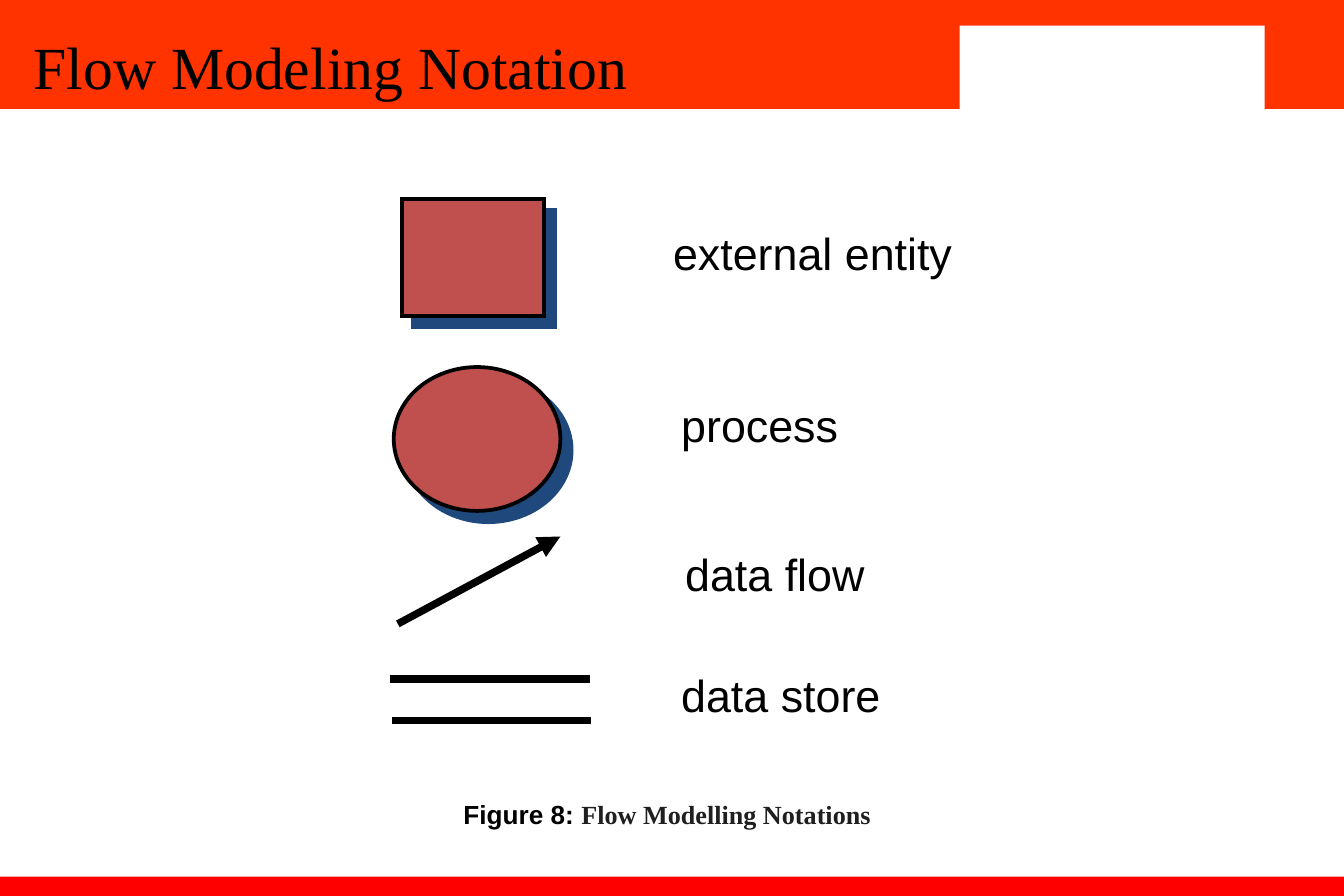
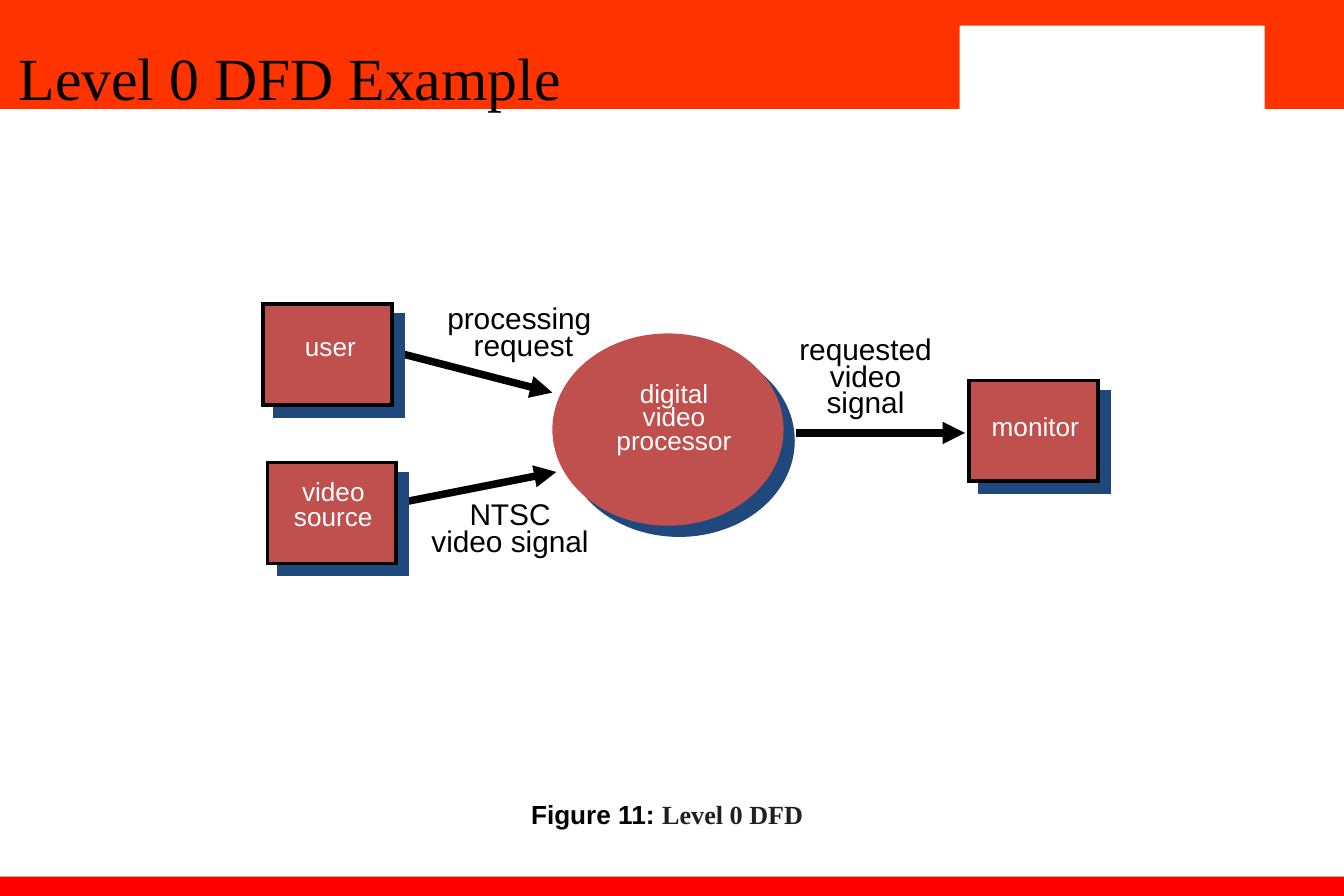
"""Builds two slides on data flow diagrams: the notation and a level 0 example."""
from lxml import etree
from pptx import Presentation
from pptx.dml.color import RGBColor
from pptx.enum.shapes import MSO_CONNECTOR, MSO_SHAPE
from pptx.enum.text import MSO_ANCHOR, MSO_AUTO_SIZE, PP_ALIGN
from pptx.oxml import parse_xml
from pptx.oxml.ns import nsdecls, qn
from pptx.util import Inches, Pt

RECT, OVAL = MSO_SHAPE.RECTANGLE, MSO_SHAPE.OVAL
STRAIGHT = MSO_CONNECTOR.STRAIGHT
LEFT, CENTER = PP_ALIGN.LEFT, PP_ALIGN.CENTER
MIDDLE, TOP = MSO_ANCHOR.MIDDLE, MSO_ANCHOR.TOP
GROW, FIXED = MSO_AUTO_SIZE.SHAPE_TO_FIT_TEXT, MSO_AUTO_SIZE.NONE

COLORS = {
    "band": "FF3300",
    "footer": "FF0000",
    "node": "C0504D",
    "shadow": "1F497D",
    "black": "000000",
    "white": "FFFFFF",
    "caption": "1F1F1F",
}
SANS, SERIF = "Arial", "Times New Roman"
SHADOW = (
    f'<a:effectLst {nsdecls("a")}><a:outerShdw dist="107950" dir="2700000" '
    f'algn="ctr" rotWithShape="0"><a:srgbClr val="{COLORS["shadow"]}"/>'
    "</a:outerShdw></a:effectLst>"
)

ENTITY_W, ENTITY_H = 0.96, 0.75

SLIDES = [
    {
        "title": ("Flow Modeling Notation", (0.15, 0.38, 7.02, 0.29)),
        "caption": ("Figure 8: ", "Flow Modelling Notations"),
        "lines": [
            (2.96, 4.64, 4.17, 3.99, True),
            (2.9, 5.05, 4.39, 5.05, False),
            (2.92, 5.36, 4.4, 5.36, False),
        ],
        "nodes": [
            (RECT, (2.99, 1.48, 1.06, 0.87), True),
            (OVAL, (2.93, 2.73, 1.24, 1.07), True),
        ],
        "labels": [
            (["external entity"], (4.91, 1.63, 2.31, 0.5), 24, "black", LEFT, 1),
            (["process"], (4.97, 2.91, 1.41, 0.5), 24, "black", LEFT, 1),
            (["data flow"], (5, 4.02, 1.57, 0.5), 24, "black", LEFT, 1),
            (["data store"], (4.97, 4.92, 1.72, 0.5), 24, "black", LEFT, 1),
        ],
    },
    {
        "title": ("Level 0 DFD Example", (0.04, -0.02, 4.79, 1.25)),
        "caption": ("Figure 11: ", "Level 0 DFD"),
        "lines": [
            (2.83, 2.59, 4.11, 2.92, True),
            (2.82, 3.77, 4.14, 3.51, True),
            (5.92, 3.22, 7.18, 3.22, True),
        ],
        "nodes": [
            (OVAL, (4.11, 2.48, 1.72, 1.43), False),
            (RECT, (1.96, 2.26, ENTITY_W, ENTITY_H), True),
            (RECT, (1.99, 3.44, ENTITY_W, ENTITY_H), True),
            (RECT, (7.21, 2.83, ENTITY_W, ENTITY_H), True),
        ],
        "labels": [
            (["user"], (2.17, 2.41, 0.62, 0.33), 14, "white", LEFT, 1),
            (["processing ", "request"], (3.21, 2.24, 1.37, 0.5), 16, "black", CENTER, 0.75),
            (["video", "source"], (2.07, 3.53, 0.82, 0.47), 14, "white", CENTER, 0.8),
            (["NTSC", "video signal"], (3.09, 3.7, 1.41, 0.5), 16, "black", CENTER, 0.75),
            (["digital", "video", "processor"], (4.47, 2.81, 1.09, 0.62), 14, "white", CENTER, 0.75),
            (["requested", "video", "signal"], (5.83, 2.47, 1.22, 0.7), 16, "black", CENTER, 0.75),
            (["monitor"], (7.28, 3, 0.89, 0.33), 14, "white", LEFT, 1),
        ],
    },
]


def add_box(s, kind, at, fill, outlined=False):
    """Add a filled shape, with a black outline if wanted."""
    sp = s.shapes.add_shape(kind, *map(Inches, at))
    sp.shadow.inherit = False
    sp.fill.solid()
    sp.fill.fore_color.rgb = RGBColor.from_string(COLORS[fill])
    if outlined:
        sp.line.color.rgb = RGBColor.from_string(COLORS["black"])
        sp.line.width = Pt(2)
        etree.SubElement(sp._element.spPr.find(qn("a:ln")), qn("a:miter"), lim="800000")
    else:
        sp.line.fill.background()
    return sp


def add_text(s, at, paragraphs, size, align=LEFT, spacing=1, anchor=TOP, wrap=True, fit=GROW):
    """Add a text box; each paragraph lists runs of text, font, colour and bold."""
    tf = s.shapes.add_textbox(*map(Inches, at)).text_frame
    tf.word_wrap, tf.auto_size, tf.vertical_anchor = wrap, fit, anchor
    for i, runs in enumerate(paragraphs):
        p = tf.add_paragraph() if i else tf.paragraphs[0]
        p.alignment, p.line_spacing = align, spacing
        for text, font, color, bold in runs:
            r = p.add_run()
            r.text = text
            r.font.name, r.font.size, r.font.bold = font, Pt(size), bold
            r.font.color.rgb = RGBColor.from_string(COLORS[color])


prs = Presentation()
prs.slide_width, prs.slide_height = Inches(10), Pt(479.75)

for page in SLIDES:
    s = prs.slides.add_slide(prs.slide_layouts[6])
    add_box(s, RECT, (0, 0, 10, 0.81), "band")
    add_box(s, RECT, (0, 6.52, 10, 0.19), "footer")
    add_box(s, RECT, (7.14, 0.19, 2.27, 0.66), "white")

    title, at = page["title"]
    add_text(s, at, [[(title, SERIF, "black", False)]], 32,
             spacing=0.9, anchor=MIDDLE, fit=FIXED)

    for x1, y1, x2, y2, arrow in page["lines"]:
        line = s.shapes.add_connector(STRAIGHT, *map(Inches, (x1, y1, x2, y2)))
        line.line.color.rgb = RGBColor.from_string(COLORS["black"])
        line.line.width = Pt(4)
        spPr = line._element.spPr
        if arrow:
            etree.SubElement(spPr.find(qn("a:ln")), qn("a:tailEnd"), type="triangle")
        etree.SubElement(spPr, qn("a:effectLst"))

    for kind, at, outlined in page["nodes"]:
        spPr = add_box(s, kind, at, "node", outlined)._element.spPr
        spPr.replace(spPr.find(qn("a:effectLst")), parse_xml(SHADOW))

    for words, at, size, color, align, spacing in page["labels"]:
        add_text(s, at, [[(w, SANS, color, False)] for w in words], size,
                 align, spacing, wrap=False)

    number, name = page["caption"]
    add_text(s, (2.45, 5.89, 5.03, 0.57),
             [[(number, SANS, "black", True), (name, SERIF, "caption", True)]], 14, CENTER)

prs.save("out.pptx")
